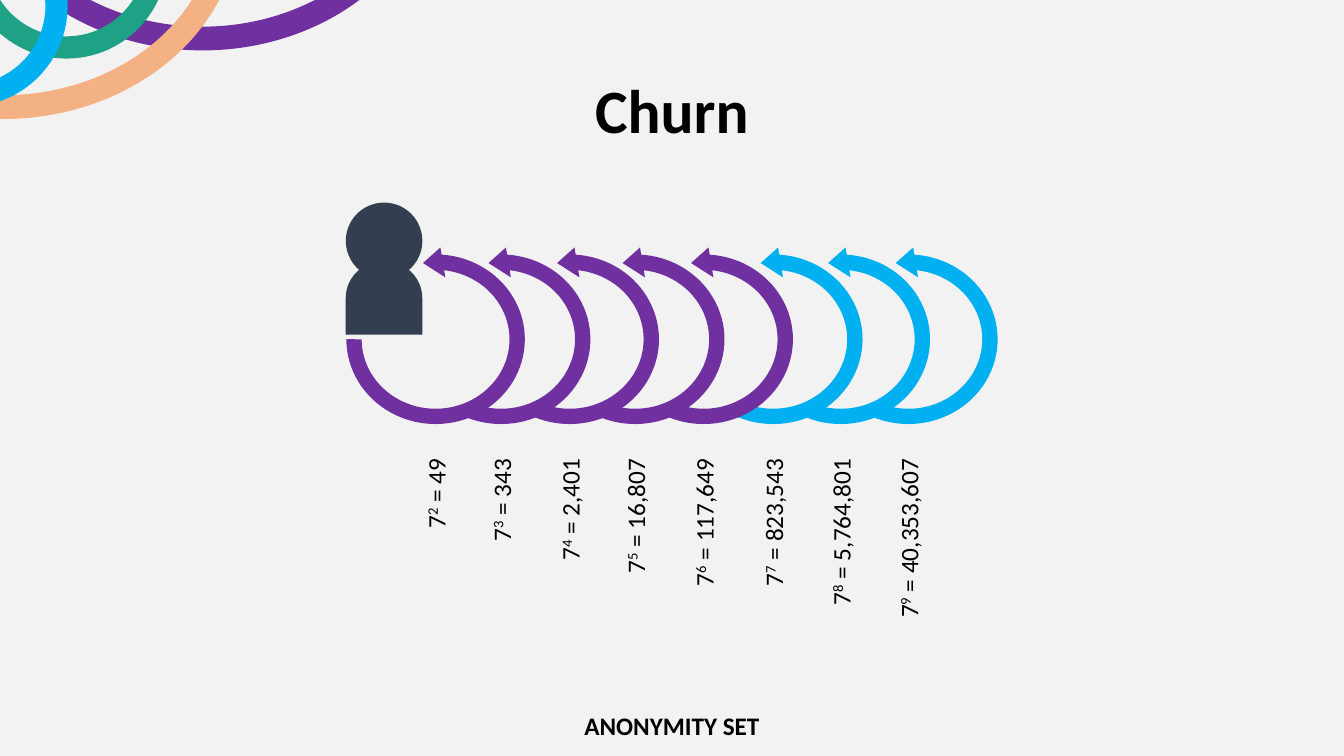
from pptx import Presentation
from pptx.dml.color import RGBColor
from pptx.enum.shapes import MSO_SHAPE
from pptx.enum.text import MSO_ANCHOR, MSO_AUTO_SIZE, PP_ALIGN
from pptx.util import Pt

BACKGROUND = RGBColor(0xF2, 0xF2, 0xF2)
PURPLE = RGBColor(0x70, 0x30, 0xA0)
PEACH = RGBColor(0xF4, 0xB1, 0x83)
GREEN = RGBColor(0x1E, 0xA1, 0x85)
BLUE = RGBColor(0x00, 0xB0, 0xF0)
SLATE = RGBColor(0x33, 0x3F, 0x50)
BLACK = RGBColor(0, 0, 0)

# Left edge of each loop, its colour, and the length of its label
CHURNS = [
    (0, PURPLE, 65.5),
    (46.8, PURPLE, 75),
    (95.8, PURPLE, 88.5),
    (142.6, PURPLE, 96.5),
    (191.5, PURPLE, 107.3),
    (241.2, BLUE, 107.3),
    (289.4, BLUE, 121),
    (337.7, BLUE, 130.3),
]
BACK_TO_FRONT = [5, 6, 0, 1, 2, 3, 4, 7]
LOOP_WIDTH, LOOP_HEIGHT = 138.2, 131.8
LABEL_HEIGHT = 28.8


def add_span(para, text, size=18, bold=False, raised=False):
    span = para.add_run()
    span.text = text
    span.font.name = "Calibri"
    span.font.size = Pt(size)
    span.font.bold = bold
    span.font.color.rgb = BLACK
    if raised:
        span.font._element.set("baseline", "30000")


def add_box(slide, left, top, width, height, align=PP_ALIGN.CENTER):
    """Add an unwrapped text box and return it with its first paragraph."""
    box = slide.shapes.add_textbox(Pt(left), Pt(top), Pt(width), Pt(height))
    box.text_frame.word_wrap = False
    box.text_frame.auto_size = MSO_AUTO_SIZE.SHAPE_TO_FIT_TEXT
    para = box.text_frame.paragraphs[0]
    para.alignment = align
    return box, para


def add_solid(shapes, kind, left, top, width, height, color, adjustments=()):
    shape = shapes.add_shape(kind, Pt(left), Pt(top), Pt(width), Pt(height))
    shape.shadow.inherit = False
    shape.fill.solid()
    shape.fill.fore_color.rgb = color
    shape.line.fill.background()
    for index, value in enumerate(adjustments):
        shape.adjustments[index] = value
    return shape


def add_corner_rings(slide, left, top):
    rings = slide.shapes.add_group_shape().shapes
    for x, y, width, height, band, color in [
        (142.6, 0, 338.4, 288, 0.059, PURPLE),
        (0, 49, 338.4, 288, 0.059, PEACH),
        (142.6, 149.8, 144, 144, 0.11, GREEN),
        (71.3, 184.3, 144, 144, 0.11, BLUE),
    ]:
        add_solid(rings, MSO_SHAPE.DONUT, left + x, top + y, width, height,
                  color, [band])


def add_title(slide, left, top, width, height):
    box, para = add_box(slide, left, top, width, height)
    box.text_frame.word_wrap = True
    box.text_frame.auto_size = MSO_AUTO_SIZE.NONE
    box.text_frame.vertical_anchor = MSO_ANCHOR.MIDDLE
    para.line_spacing = 0.9
    add_span(para, "Churn", size=44, bold=True)


def add_person(slide, left, top):
    parts = slide.shapes.add_group_shape().shapes
    add_solid(parts, MSO_SHAPE.OVAL, left, top, 54.7, 54.7, SLATE)
    body = add_solid(parts, MSO_SHAPE.FLOWCHART_DELAY, left + 1, top + 40.7,
                     52.6, 54.7, SLATE)
    body.rotation = 270


def add_loop(slide, left, top, color, start):
    loop = add_solid(slide.shapes, MSO_SHAPE.CIRCULAR_ARROW, left, top,
                     LOOP_WIDTH, LOOP_HEIGHT, color,
                     [0.083, 8.9, 50.75, start, 0.082])
    loop.rotation = 180
    loop.element.spPr.xfrm.set("flipH", "1")


def add_power_label(slide, center, top, length, power):
    """Add a label that reads upwards and ends at the given top."""
    box, para = add_box(slide, center - length / 2,
                        top + (length - LABEL_HEIGHT) / 2,
                        length, LABEL_HEIGHT, align=PP_ALIGN.RIGHT)
    box.rotation = 270
    add_span(para, "7")
    add_span(para, str(power), raised=True)
    add_span(para, f" = {7 ** power:,}")


def add_churn_chain(slide, left, top):
    # Loops: the first starts at the person, the others behind a neighbour
    for index in BACK_TO_FRONT:
        offset, color, _ = CHURNS[index]
        if index == 0:
            add_person(slide, left + 5, top - 31.7)
        add_loop(slide, left + offset, top, color, 146 if index else 108)
    # Anonymity set after each loop
    for power, (offset, _, length) in enumerate(CHURNS, start=2):
        add_power_label(slide, left + offset + LOOP_WIDTH / 2, top + 144.4,
                        length, power)


def add_footer(slide, left, top, width, height):
    _, para = add_box(slide, left, top, width, height)
    add_span(para, "ANONYMITY SET", bold=True)


def main():
    deck = Presentation()
    deck.slide_width, deck.slide_height = Pt(960), Pt(540)
    page = deck.slides.add_slide(deck.slide_layouts[6])
    page.background.fill.solid()
    page.background.fill.fore_color.rgb = BACKGROUND

    add_title(page, 66, 28.8, 828, 104.4)
    add_corner_rings(page, -167, -252)
    add_footer(page, 409.5, 504, 141, 28.8)
    add_churn_chain(page, 242, 176.4)
    deck.save("out.pptx")


if __name__ == "__main__":
    main()
